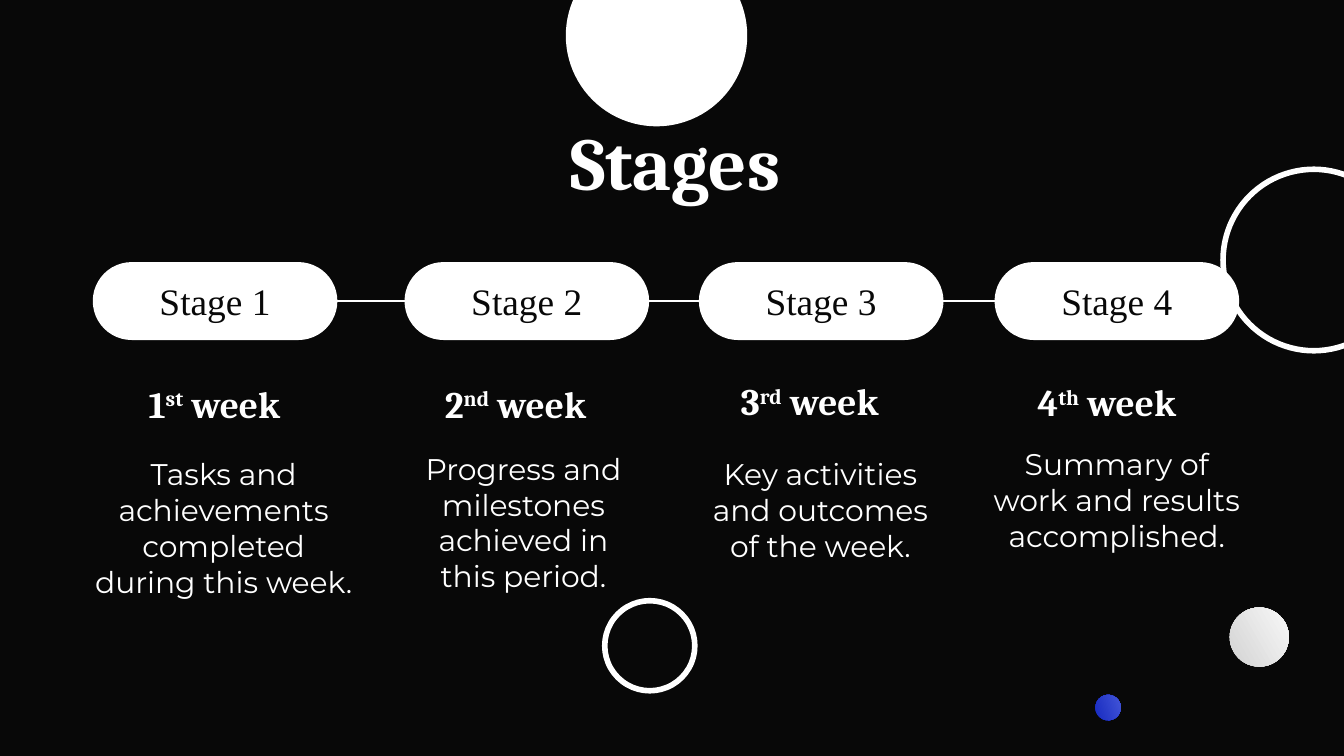
from lxml import etree
from pptx import Presentation
from pptx.dml.color import RGBColor
from pptx.enum.shapes import MSO_CONNECTOR, MSO_SHAPE
from pptx.enum.text import MSO_ANCHOR, MSO_AUTO_SIZE, PP_ALIGN
from pptx.oxml.ns import qn
from pptx.util import Inches, Pt

OVAL, PILL = MSO_SHAPE.OVAL, MSO_SHAPE.ROUNDED_RECTANGLE
LINE = MSO_CONNECTOR.STRAIGHT
MIDDLE, CENTER = MSO_ANCHOR.MIDDLE, PP_ALIGN.CENTER
FIXED = MSO_AUTO_SIZE.NONE

BLACK = RGBColor(0x08, 0x08, 0x08)
WHITE = RGBColor(0xFF, 0xFF, 0xFF)
GREY = RGBColor(0xCC, 0xCC, 0xCC)
NAVY = RGBColor(0x11, 0x25, 0xBE)
BLUE = RGBColor(0x49, 0x5B, 0xDA)

HEAD = {"name": "Cambria", "size": Pt(40), "bold": True}
WEEK = {"name": "Cambria", "size": Pt(20), "bold": True}
STAGE = {"name": "Times New Roman", "size": Pt(20), "bold": False}
BODY = {"name": "Montserrat", "size": Pt(16), "bold": False}
FRAME = {"word_wrap": True, "auto_size": FIXED, "vertical_anchor": MIDDLE,
         "margin_left": Inches(0.1), "margin_right": Inches(0.1),
         "margin_top": Inches(0.1), "margin_bottom": Inches(0.1)}
PARA = {"alignment": CENTER, "line_spacing": 1.0,
        "space_before": Pt(0), "space_after": Pt(0)}


def write(shape, parts, font, color=WHITE):
    """Fill a shape with one centred paragraph of runs."""
    frame = shape.text_frame
    para = frame.paragraphs[0]
    for key, value in FRAME.items():
        setattr(frame, key, value)
    for key, value in PARA.items():
        setattr(para, key, value)
    for part in parts:
        run = para.add_run()
        run.text = part
        for key, value in font.items():
            setattr(run.font, key, value)
        run.font.color.rgb = color
    return para


def draw(kind, left, top, width, height):
    """Add a white shape with no line or shadow."""
    shape = slide.shapes.add_shape(kind, Inches(left), Inches(top),
                                   Inches(width), Inches(height))
    shape.shadow.inherit = False
    shape.fill.solid()
    shape.fill.fore_color.rgb = WHITE
    shape.line.fill.background()
    return shape


# Widescreen slide, 16:9
deck = Presentation()
deck.slide_width = Inches(10)
deck.slide_height = Inches(10) * 9 // 16
slide = deck.slides.add_slide(deck.slide_layouts.get_by_name("Comparison"))
slide.background.fill.solid()
slide.background.fill.fore_color.rgb = BLACK

# Shaded dots
for left, top, size, turn, dark, light in [
        (8.15, 5.17, 0.19, 251, NAVY, BLUE),
        (9.15, 4.52, 0.44, 240, GREY, WHITE)]:
    dot = draw(OVAL, left, top, size, size)
    dot.rotation = turn
    dot.fill.gradient()
    dot.fill.gradient_angle = 270
    for stop, color in zip(dot.fill.gradient_stops, (dark, light)):
        stop.color.rgb = color

# Rings and top disc
for left, top, size in [(9.1, 1.26, 1.35), (4.5, 4.47, 0.67)]:
    ring = draw(OVAL, left, top, size, size)
    ring.fill.background()
    ring.line.color.rgb = WHITE
    ring.line.width = Pt(3)
draw(OVAL, 4.21, -0.41, 1.35, 1.35)

# Title
title, *bodies = slide.placeholders
title.left, title.top = Inches(0.81), Inches(0.88)
title.width, title.height = Inches(8.43), Inches(0.63)
write(title, ["Stages"], HEAD)

# Stages: pill left, week box, ordinal ending, body box, body text
stages = [
    (0.69, (0.65, 2.71, 1.89), "st", (0.58, 2.17, 1.09),
     "Tasks and achievements completed during this week."),
    (3.01, (2.89, 2.71, 1.89), "nd", (2.95, 1.89, 1.01),
     "Progress and milestones achieved in this period."),
    (5.2, (5.13, 2.69, 1.79), "rd", (5.16, 1.89, 0.82),
     "Key activities and outcomes of the week."),
    (7.4, (7.34, 2.7, 1.79), "th", (7.27, 2.08, 0.67),
     "Summary of work and results accomplished."),
]
pills = []
for num, (stage, body) in enumerate(zip(stages, bodies), 1):
    left, (week_x, week_y, week_w), suffix, (x, width, height), text = stage
    pill = draw(PILL, left, 1.95, 1.82, 0.58)
    pill.adjustments[0] = 0.5
    write(pill, [f"Stage {num}"], STAGE, BLACK)
    pills.append(pill)

    week = slide.shapes.add_textbox(Inches(week_x), Inches(week_y),
                                    Inches(week_w), Inches(0.58))
    para = write(week, [str(num), suffix, " week"], WEEK)
    para.runs[1].font._element.set("baseline", "30000")

    body.left, body.top = Inches(x), Inches(3.38)
    body.width, body.height = Inches(width), Inches(height)
    props = write(body, [text], BODY)._p.get_or_add_pPr()
    props.set("marL", "0")
    props.set("indent", "0")
    etree.SubElement(props, qn("a:buNone"))

# Links between the pills
for prev, after in zip(pills, pills[1:]):
    link = slide.shapes.add_connector(LINE, 0, 0, 0, 0)
    link.begin_connect(prev, 3)
    link.end_connect(after, 1)
    link.line.color.rgb = WHITE
    link.line.width = Pt(1.5)
    etree.SubElement(link._element.spPr, qn("a:effectLst"))

deck.save("out.pptx")
